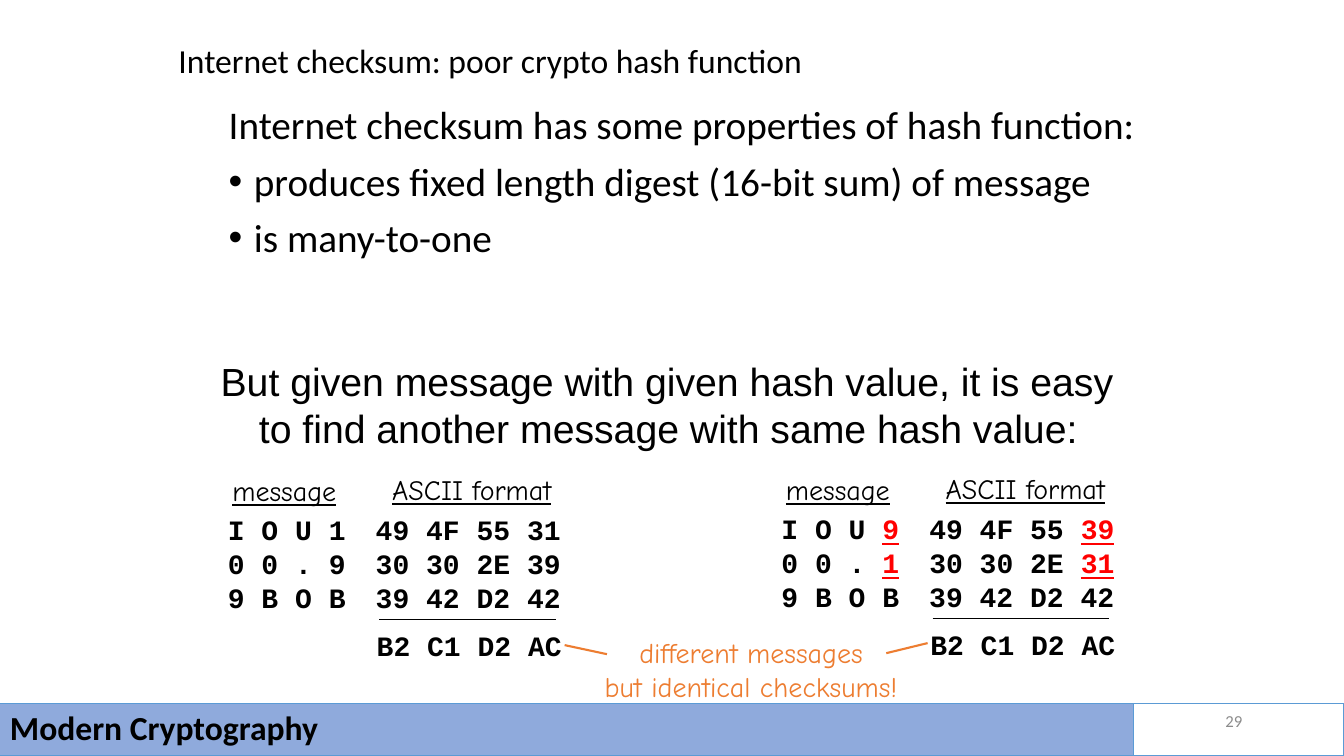
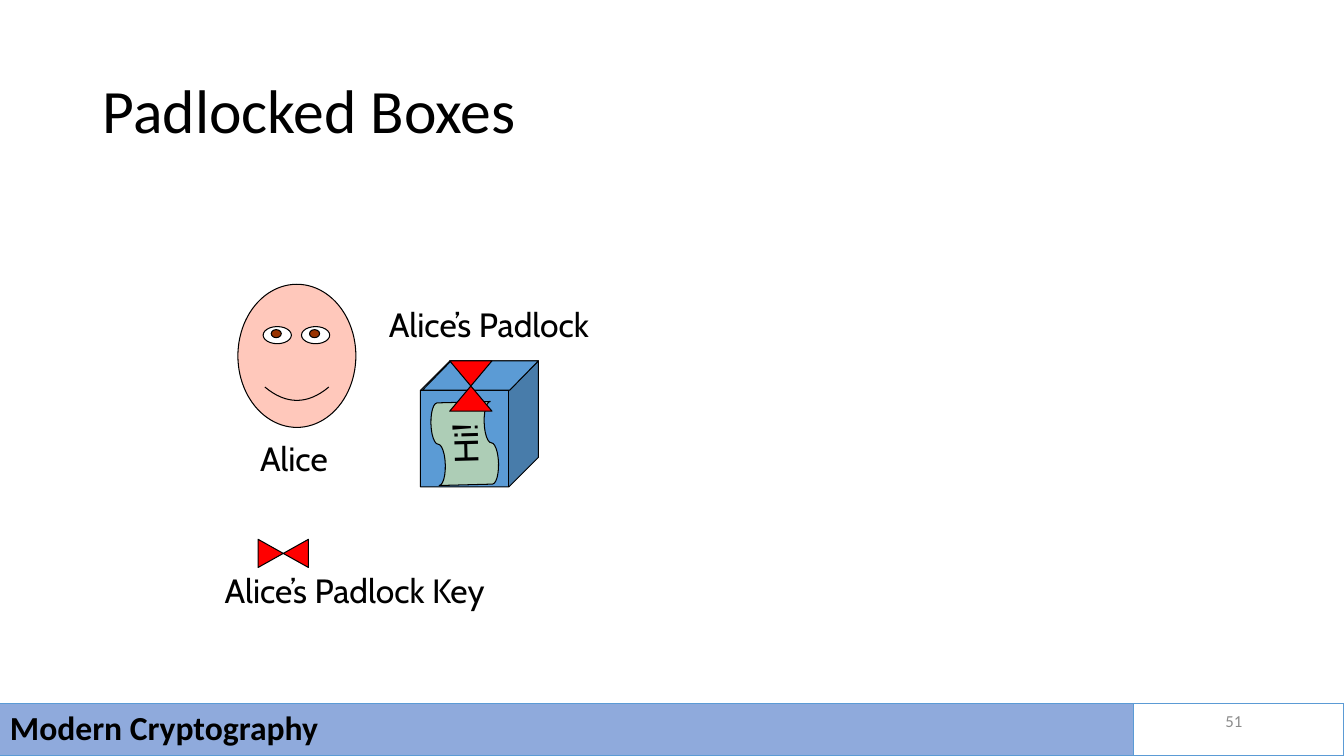
from dataclasses import dataclass

from lxml.etree import SubElement
from pptx import Presentation
from pptx.dml.color import RGBColor
from pptx.enum.shapes import MSO_CONNECTOR, MSO_SHAPE
from pptx.enum.text import MSO_ANCHOR, MSO_AUTO_SIZE, PP_ALIGN
from pptx.oxml.ns import qn
from pptx.presentation import Presentation as Deck
from pptx.shapes.autoshape import Shape
from pptx.slide import Slide
from pptx.util import Inches, Pt

COLORS = {
    "ink": "000000",
    "white": "FFFFFF",
    "changed": "FF0000",
    "accent": "ED7D31",
    "band": "8FAADC",
    "blue": "5B9BD5",
    "number": "8C8C8C",
    "skin": "FFC8BB",
    "iris": "993300",
    "note": "FFFF99",
}


@dataclass(frozen=True)
class Box:
    left: float
    top: float
    width: float
    height: float

    def lengths(self) -> tuple:
        return tuple(Inches(v) for v in (self.left, self.top, self.width, self.height))


@dataclass(frozen=True)
class Style:
    font: str
    size: int
    color: str = "ink"
    bold: bool = False
    underline: bool = False
    align: PP_ALIGN = PP_ALIGN.CENTER
    spacing: float = 1.0
    before: float = 0
    hanging: float = 0


@dataclass(frozen=True)
class Row:
    text: str
    changed: str = ""
    bullet: bool = False


@dataclass(frozen=True)
class Sample:
    left: float
    top: float
    message: tuple
    codes: tuple


LEFT = PP_ALIGN.LEFT
BODY = Style("Calibri", 28, align=LEFT, spacing=0.9, before=10, hanging=0.25)
CLAIM = Style("Arial", 28, align=LEFT, before=5.6, hanging=0.38)
CODE = Style("Courier New", 20, bold=True)
HEADING = Style("Comic Neue", 20, underline=True)
REMARK = Style("Comic Neue", 20, "accent")
CAPTION = Style("Cabin", 24)
KEY_CAPTION = Style("Cabin", 24, align=LEFT)
BAND = Style("Calibri", 24, bold=True, align=LEFT, spacing=0.9)
NUMBER = Style("Calibri", 12, "number", align=PP_ALIGN.RIGHT)

SAMPLES = (
    Sample(2.16, 4.64,
           (Row("I O U 1"), Row("0 0 . 9"), Row("9 B O B")),
           (Row("49 4F 55 31"), Row("30 30 2E 39"), Row("39 42 D2 42"))),
    Sample(7.65, 4.63,
           (Row("I O U ", "9"), Row("0 0 . ", "1"), Row("9 B O B")),
           (Row("49 4F 55 ", "39"), Row("30 30 2E ", "31"), Row("39 42 D2 42"))),
)


def rgb(name: str) -> RGBColor:
    return RGBColor.from_string(COLORS[name])


def write(shape: Shape, rows: tuple, style: Style) -> None:
    frame = shape.text_frame
    for index, row in enumerate(rows):
        paragraph = frame.add_paragraph() if index else frame.paragraphs[0]
        paragraph.alignment = style.align
        paragraph.line_spacing = style.spacing
        paragraph.space_before = Pt(style.before)
        properties = paragraph._p.get_or_add_pPr()
        if style.hanging:
            properties.set("marL", str(Inches(style.hanging)))
            properties.set("indent", str(-Inches(style.hanging)))
        if row.bullet:
            SubElement(properties, qn("a:buFont")).set("typeface", "Arial")
            SubElement(properties, qn("a:buChar")).set("char", "•")
        font = paragraph.font
        font.name, font.size = style.font, Pt(style.size)
        font.bold, font.underline = style.bold, style.underline
        font.color.rgb = rgb(style.color)
        paragraph.add_run().text = row.text
        if row.changed:
            changed = paragraph.add_run()
            changed.text = row.changed
            changed.font.underline = True
            changed.font.color.rgb = rgb("changed")


def add_text(parent: Slide, box: Box, rows: tuple, style: Style,
             wrap: bool = False) -> Shape:
    text = parent.shapes.add_textbox(*box.lengths())
    text.text_frame.word_wrap = wrap
    text.text_frame.auto_size = (
        MSO_AUTO_SIZE.NONE if wrap else MSO_AUTO_SIZE.SHAPE_TO_FIT_TEXT)
    write(text, rows, style)
    return text


def add_figure(parent: Slide, kind: MSO_SHAPE, box: Box, fill: str = "",
               line: str = "ink", adjust: float | None = None,
               rotation: float = 0) -> Shape:
    figure = parent.shapes.add_shape(kind, *box.lengths())
    figure.shadow.inherit = False
    if fill:
        figure.fill.solid()
        figure.fill.fore_color.rgb = rgb(fill)
    else:
        figure.fill.background()
    figure.line.color.rgb = rgb(line)
    figure.line.width = Pt(0.75)
    if adjust is not None:
        figure.adjustments[0] = adjust
    figure.rotation = rotation
    return figure


def add_line(slide: Slide, start: tuple, end: tuple, color: str, width: float) -> None:
    line = slide.shapes.add_connector(
        MSO_CONNECTOR.STRAIGHT, *(Inches(v) for v in (*start, *end)))
    line.line.color.rgb = rgb(color)
    line.line.width = Pt(width)
    SubElement(line._element.spPr, qn("a:effectLst"))


def start_slide(deck: Deck, title: str, box: Box, size: int) -> Slide:
    slide = deck.slides.add_slide(deck.slide_layouts[5])
    heading = slide.shapes.title
    heading.left, heading.top, heading.width, heading.height = box.lengths()
    heading.text_frame.auto_size = MSO_AUTO_SIZE.NONE
    heading.text_frame.vertical_anchor = MSO_ANCHOR.MIDDLE
    write(heading, (Row(title),), Style("Calibri", size, align=LEFT, spacing=0.9))
    return slide


def add_footer(slide: Slide, number: int) -> None:
    page = add_text(slide, Box(9.42, 6.95, 3, 0.4), (Row(str(number)),), NUMBER, wrap=True)
    page.text_frame.vertical_anchor = MSO_ANCHOR.MIDDLE
    band = add_figure(slide, MSO_SHAPE.RECTANGLE, Box(0, 6.98, 11.24, 0.52), "band", "blue")
    band.text_frame.vertical_anchor = MSO_ANCHOR.MIDDLE
    write(band, (Row("Modern Cryptography"),), BAND)
    add_figure(slide, MSO_SHAPE.RECTANGLE, Box(11.24, 6.98, 2.09, 0.52), line="blue")


def add_sample(slide: Slide, sample: Sample) -> None:
    left, top = sample.left, sample.top
    add_text(slide, Box(left - 0.03, top + 0.4, 1.43, 1.1), sample.message, CODE)
    add_text(slide, Box(left + 1.41, top + 0.4, 2.15, 1.1), sample.codes, CODE)
    add_text(slide, Box(left + 0.02, top + 0.01, 1.28, 0.43), (Row("message"),), HEADING)
    add_text(slide, Box(left + 1.49, top, 2.06, 0.43), (Row("ASCII format"),), HEADING)
    rule = top + 1.51
    add_line(slide, (left + 1.6, rule), (left + 3.35, rule), "ink", 0.75)
    add_text(slide, Box(left + 1.42, top + 1.55, 2.15, 0.43), (Row("B2 C1 D2 AC"),), CODE)


def build_checksum(deck: Deck) -> None:
    slide = start_slide(deck, "Internet checksum: poor crypto hash function",
                        Box(1.67, 0, 8.37, 1.25), 24)
    properties = (
        Row("Internet checksum has some properties of hash function:"),
        Row("produces fixed length digest (16-bit sum) of message", bullet=True),
        Row("is many-to-one", bullet=True),
    )
    add_text(slide, Box(2.17, 1, 9.21, 2.32), properties, BODY, wrap=True)
    claim = ("But given message with given hash value, it is easy "
             "to find another message with same hash value:")
    add_text(slide, Box(2.09, 3.5, 9.21, 1.07), (Row(claim),), CLAIM, wrap=True)
    for sample in SAMPLES:
        add_sample(slide, sample)
    add_text(slide, Box(5.77, 6.26, 3.36, 0.77),
             (Row("different messages"), Row("but identical checksums!")), REMARK)
    add_line(slide, (6.02, 6.49), (5.6, 6.4), "accent", 1.5)
    add_line(slide, (8.79, 6.48), (9.2, 6.38), "accent", 1.5)
    add_footer(slide, 29)


def add_alice(slide: Slide) -> None:
    add_text(slide, Box(2.45, 4.3, 0.93, 0.5), (Row("Alice"),), CAPTION)
    add_figure(slide, MSO_SHAPE.SMILEY_FACE, Box(2.36, 2.82, 1.17, 1.42), "skin",
               adjust=0.047)
    for left in (2.61, 2.99):
        add_figure(slide, MSO_SHAPE.OVAL, Box(left, 3.24, 0.28, 0.17), "white")
        add_figure(slide, MSO_SHAPE.OVAL, Box(left + 0.08, 3.27, 0.1, 0.08), "iris")


def add_locked_box(slide: Slide) -> None:
    add_figure(slide, MSO_SHAPE.CUBE, Box(4.17, 3.58, 1.17, 1.25), "blue", adjust=0.25)
    add_figure(slide, MSO_SHAPE.PARALLELOGRAM, Box(4.19, 3.58, 1.15, 0.29), "blue",
               adjust=0.978)
    note = add_figure(slide, MSO_SHAPE.FLOWCHART_PUNCHED_TAPE,
                      Box(4.2, 4.07, 0.82, 0.66), "note", rotation=268.5)
    tint = note._element.spPr.find(qn("a:solidFill")).find(qn("a:srgbClr"))
    SubElement(tint, qn("a:alpha")).set("val", "50000")
    note.text_frame.word_wrap = False
    note.text_frame.vertical_anchor = MSO_ANCHOR.MIDDLE
    write(note, (Row("Hi!"),), CAPTION)


def add_lock_part(slide: Slide, box: Box, rotation: float,
                  label: str, label_box: Box) -> None:
    group = slide.shapes.add_group_shape()
    add_figure(group, MSO_SHAPE.FLOWCHART_COLLATE, box, "changed", rotation=rotation)
    add_text(group, label_box, (Row(label),), KEY_CAPTION)


def build_padlocks(deck: Deck) -> None:
    slide = start_slide(deck, "Padlocked Boxes", Box(0.92, 0.4, 11.5, 1.45), 44)
    add_alice(slide)
    add_locked_box(slide)
    add_lock_part(slide, Box(4.46, 3.58, 0.42, 0.5), 0,
                  "Alice’s Padlock", Box(3.76, 2.97, 2.33, 0.51))
    add_lock_part(slide, Box(2.67, 5.24, 0.28, 0.5), 270,
                  "Alice’s Padlock Key", Box(2.13, 5.6, 2.97, 0.51))
    add_footer(slide, 51)


def main() -> None:
    deck = Presentation()
    deck.slide_width, deck.slide_height = Inches(13.33), Inches(7.5)
    build_checksum(deck)
    build_padlocks(deck)
    deck.save("out.pptx")


if __name__ == "__main__":
    main()
